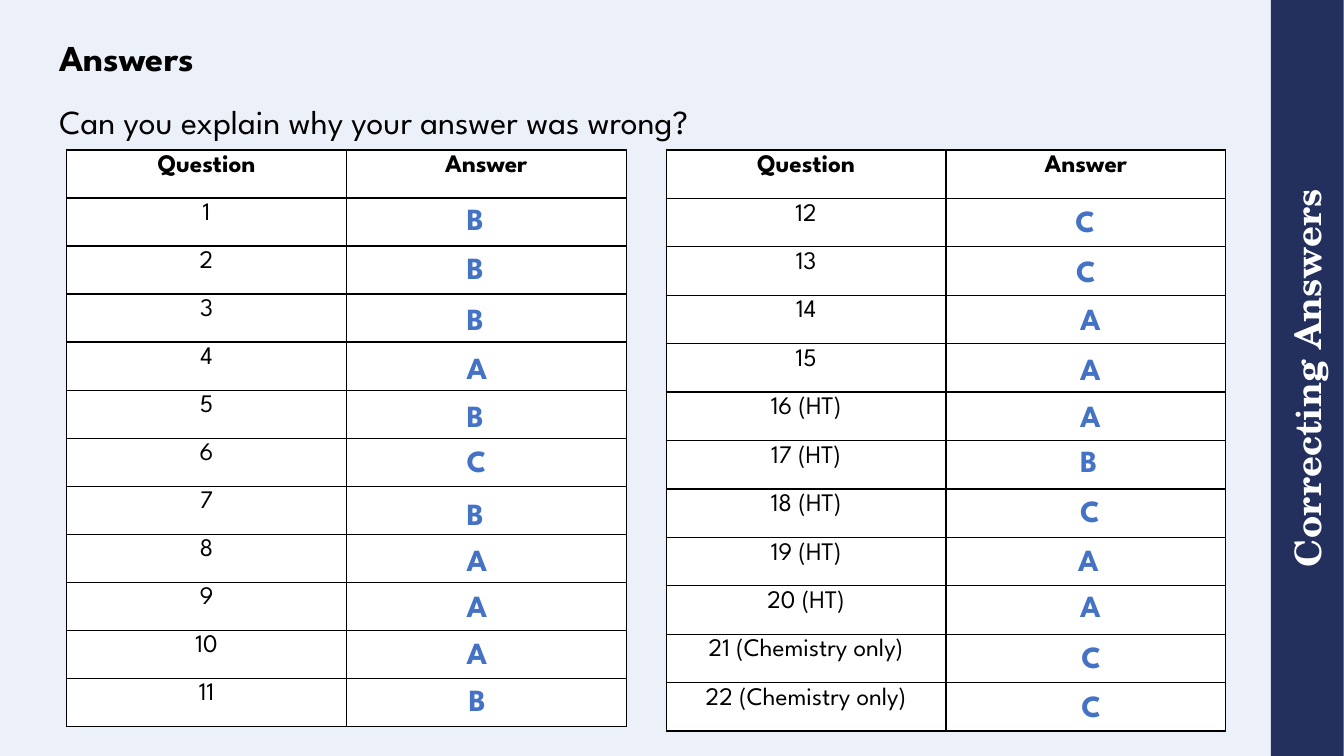
import lxml.etree
import pptx
import pptx.dml.color
import pptx.enum.shapes
import pptx.enum.text
import pptx.oxml.ns
import pptx.util
from pptx.util import Cm

COLORS = {"background": "ECF1F9", "sidebar": "232F5D", "white": "FFFFFF",
          "text": "000000", "answer": "4472C4"}
BODY_FONT = "League Spartan"
ALIGN = pptx.enum.text.PP_ALIGN
ANCHOR = pptx.enum.text.MSO_ANCHOR


def add_run(paragraph, text, size, color, bold=False, font=BODY_FONT):
    run = paragraph.add_run()
    run.text = text
    run.font.name = font
    run.font.size = pptx.util.Pt(size)
    run.font.bold = bold
    run.font.color.rgb = pptx.dml.color.RGBColor.from_string(COLORS[color])


def style_cell(cell):
    cell.fill.solid()
    cell.fill.fore_color.rgb = pptx.dml.color.RGBColor.from_string(COLORS["white"])
    properties = cell._tc.get_or_add_tcPr()
    for position, side in enumerate(("lnL", "lnR", "lnT", "lnB")):
        line = lxml.etree.Element(pptx.oxml.ns.qn(f"a:{side}"), w="12700")
        fill = lxml.etree.SubElement(line, pptx.oxml.ns.qn("a:solidFill"))
        lxml.etree.SubElement(fill, pptx.oxml.ns.qn("a:srgbClr"), val=COLORS["text"])
        properties.insert(position, line)


presentation = pptx.Presentation()
presentation.slide_width = Cm(33.87)
presentation.slide_height = Cm(19.05)
slide = presentation.slides.add_slide(presentation.slide_layouts[6])
slide.background.fill.solid()
slide.background.fill.fore_color.rgb = pptx.dml.color.RGBColor.from_string(COLORS["background"])

# Sidebar, turned to read upwards
sidebar = slide.shapes.add_shape(pptx.enum.shapes.MSO_SHAPE.RECTANGLE,
                                 Cm(23.42), Cm(8.61), Cm(19.05), Cm(1.83))
sidebar.rotation = 270
sidebar.shadow.inherit = False
sidebar.fill.solid()
sidebar.fill.fore_color.rgb = pptx.dml.color.RGBColor.from_string(COLORS["sidebar"])
sidebar.line.fill.background()
frame = sidebar.text_frame
frame.margin_left = frame.margin_right = frame.margin_top = frame.margin_bottom = 0
frame.vertical_anchor = ANCHOR.MIDDLE
frame.paragraphs[0].alignment = ALIGN.CENTER
add_run(frame.paragraphs[0], "Correcting Answers", 26, "white", True, "TeX Gyre Schola")

# Title and prompt
headings = [
    ("Answers", 0, 29.49, 2.01, 26, True, ANCHOR.BOTTOM, 0.9),
    ("Can you explain why your answer was wrong?", 2.54, 27.23, 1.02, 24, False, ANCHOR.TOP, 1.0),
]
for text, top, width, height, size, bold, anchor, spacing in headings:
    heading = slide.shapes.add_textbox(Cm(1.5), Cm(top), Cm(width), Cm(height))
    frame = heading.text_frame
    frame.word_wrap = True
    frame.margin_left = frame.margin_right = frame.margin_top = frame.margin_bottom = 0
    frame.vertical_anchor = anchor
    frame.paragraphs[0].line_spacing = spacing
    add_run(frame.paragraphs[0], text, size, "text", bold)

# Question tables: left edge, row height, question labels
left_questions = [str(number) for number in range(1, 12)]
right_questions = ([str(number) for number in range(12, 16)]
                   + [f"{number} (HT)" for number in range(16, 21)]
                   + [f"{number} (Chemistry only)" for number in (21, 22)])
for left, row_height, questions in [(1.68, 1.21, left_questions),
                                    (16.79, 1.22, right_questions)]:
    rows = [("Question", "Answer")] + [(question, "") for question in questions]
    table = slide.shapes.add_table(len(rows), 2, Cm(left), Cm(3.78),
                                   Cm(14.1), Cm(row_height * len(rows))).table
    table.first_row = False
    table.horz_banding = False
    for column in table.columns:
        column.width = Cm(7.05)
    for row_index, labels in enumerate(rows):
        table.rows[row_index].height = Cm(row_height)
        for column_index, label in enumerate(labels):
            cell = table.cell(row_index, column_index)
            style_cell(cell)
            if label:
                paragraph = cell.text_frame.paragraphs[0]
                paragraph.alignment = ALIGN.CENTER
                add_run(paragraph, label, 18, "text", row_index == 0)

# Answer letters: left and top of each box
letter_widths = {"A": 1.09, "B": 0.97, "C": 1.12}
answers = [
    ("B", 11.51, 4.9), ("B", 11.51, 6.15), ("B", 11.51, 7.42), ("A", 11.51, 8.66),
    ("B", 11.51, 9.86), ("C", 11.51, 11), ("B", 11.51, 12.34), ("A", 11.51, 13.51),
    ("A", 11.51, 14.66), ("A", 11.51, 15.85), ("B", 11.56, 17.02),
    ("C", 26.85, 4.95), ("C", 26.87, 6.22), ("A", 26.97, 7.42), ("A", 26.97, 8.69),
    ("A", 26.97, 9.88), ("B", 26.97, 11), ("C", 26.97, 12.27), ("A", 26.92, 13.51),
    ("A", 26.97, 14.66), ("C", 27, 15.95), ("C", 27, 17.17),
]
for letter, left, top in answers:
    answer = slide.shapes.add_textbox(Cm(left), Cm(top), Cm(letter_widths[letter]), Cm(1.19))
    answer.text_frame.word_wrap = False
    answer.text_frame.auto_size = pptx.enum.text.MSO_AUTO_SIZE.SHAPE_TO_FIT_TEXT
    add_run(answer.text_frame.paragraphs[0], letter, 22, "answer", True)

presentation.save("out.pptx")
